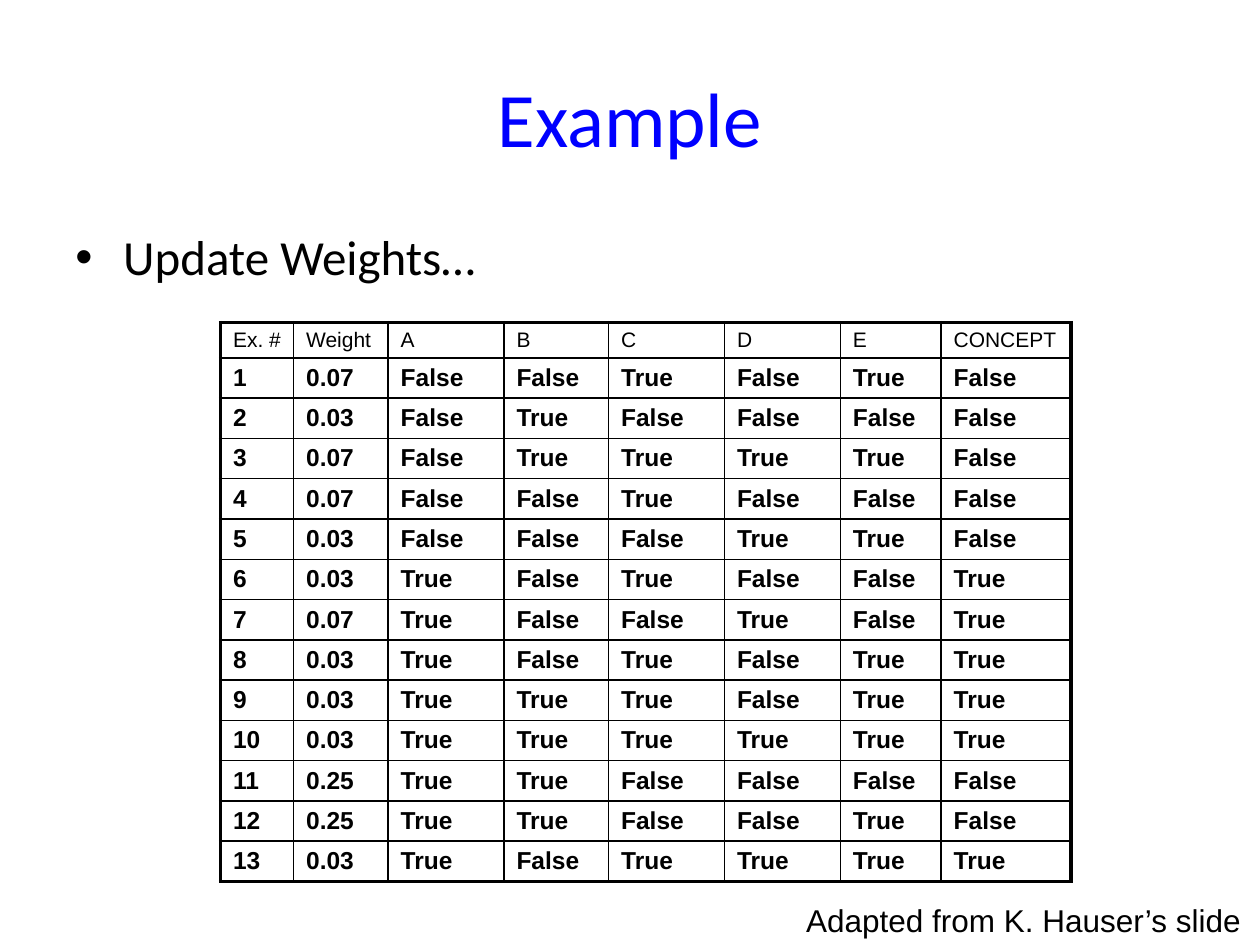
from lxml.etree import SubElement
from pptx import Presentation
from pptx.dml.color import RGBColor
from pptx.enum.text import MSO_ANCHOR, PP_ALIGN
from pptx.oxml.ns import qn
from pptx.util import Inches, Pt

TITLE = "Example"
BULLET = "Update Weights…"
CREDIT = "Adapted from K. Hauser’s slide"
HEADERS = ["Ex. #", "Weight", "A", "B", "C", "D", "E", "CONCEPT"]
EXAMPLES = [
    ("0.07", "FFTFTF"),
    ("0.03", "FTFFFF"),
    ("0.07", "FTTTTF"),
    ("0.07", "FFTFFF"),
    ("0.03", "FFFTTF"),
    ("0.03", "TFTFFT"),
    ("0.07", "TFFTFT"),
    ("0.03", "TFTFTT"),
    ("0.03", "TTTFTT"),
    ("0.03", "TTTTTT"),
    ("0.25", "TTFFFF"),
    ("0.25", "TTFFTF"),
    ("0.03", "TFTTTT"),
]
TRUTH = {"T": "True", "F": "False"}
COLUMN_WIDTHS = [0.58, 0.75, 0.92, 0.83, 0.92, 0.92, 0.8, 1.03]
ROW_HEIGHTS = [0.28] + [0.32] * len(EXAMPLES)
BOTTOM_MARGIN = 0.03
OUTER_BORDER, INNER_BORDER = 2.25, 1
BLACK, BLUE = "000000", "0000FF"


def color(value):
    return RGBColor.from_string(value)


def write(paragraph, text, size, font="Arial", fill=BLACK, bold=False):
    paragraph.text = text
    paragraph.font.name = font
    paragraph.font.size = Pt(size)
    paragraph.font.bold = bold
    paragraph.font.color.rgb = color(fill)


def space_before(paragraph, percent):
    spacing = SubElement(paragraph._p.get_or_add_pPr(), qn("a:spcBef"))
    paragraph._p.pPr.insert(0, spacing)
    SubElement(spacing, qn("a:spcPct"), val=str(percent * 1000))


def add_bullet(paragraph, indent):
    properties = paragraph._p.get_or_add_pPr()
    properties.set("marL", str(Inches(indent)))
    properties.set("indent", str(-Inches(indent)))
    bullet_font = SubElement(properties, qn("a:buFont"), typeface="Arial")
    bullet = SubElement(properties, qn("a:buChar"), char="•")
    properties.insert(0, bullet_font)
    properties.insert(1, bullet)


def add_text(slide, left, top, width, height, wrap=True):
    box = slide.shapes.add_textbox(Inches(left), Inches(top), Inches(width), Inches(height))
    box.text_frame.word_wrap = wrap
    return box.text_frame


def set_borders(cell, widths):
    properties = cell._tc.get_or_add_tcPr()
    for side, width in zip(("lnL", "lnR", "lnT", "lnB"), widths):
        line = SubElement(properties, qn(f"a:{side}"), w=str(Pt(width)))
        fill = SubElement(line, qn("a:solidFill"))
        SubElement(fill, qn("a:srgbClr"), val=BLACK)
    cell.fill.background()


def add_weights_table(slide, left, top):
    rows = [HEADERS] + [
        [str(number), weight] + [TRUTH[value] for value in values]
        for number, (weight, values) in enumerate(EXAMPLES, 1)
    ]
    last_row, last_column = len(rows) - 1, len(HEADERS) - 1
    table = slide.shapes.add_table(
        len(rows), len(HEADERS), Inches(left), Inches(top),
        Inches(sum(COLUMN_WIDTHS)), Inches(sum(ROW_HEIGHTS)),
    ).table
    table.first_row = False
    table.horz_banding = False
    for column, width in zip(table.columns, COLUMN_WIDTHS):
        column.width = Inches(width)
    for row_index, (row, height) in enumerate(zip(rows, ROW_HEIGHTS)):
        table.rows[row_index].height = Inches(height)
        for column_index, text in enumerate(row):
            cell = table.cell(row_index, column_index)
            cell.margin_bottom = Inches(BOTTOM_MARGIN)
            paragraph = cell.text_frame.paragraphs[0]
            is_header = row_index == 0
            write(paragraph, text, 12 if is_header else 14, bold=not is_header)
            space_before(paragraph, 20)
            on_edge = (column_index == 0, column_index == last_column,
                       row_index == 0, row_index == last_row)
            set_borders(cell, [OUTER_BORDER if edge else INNER_BORDER for edge in on_edge])


def main():
    presentation = Presentation()
    presentation.slide_width = Inches(10)
    presentation.slide_height = Inches(7.5)
    slide = presentation.slides.add_slide(presentation.slide_layouts[6])

    title_frame = add_text(slide, 0.5, 0.3, 9, 1.25)
    title_frame.vertical_anchor = MSO_ANCHOR.MIDDLE
    title = title_frame.paragraphs[0]
    write(title, TITLE, 44, "Calibri", BLUE)
    title.alignment = PP_ALIGN.CENTER

    body = add_text(slide, 0.5, 1.75, 9, 4.95).paragraphs[0]
    write(body, BULLET, 28, "Calibri")
    add_bullet(body, 0.38)
    space_before(body, 20)

    add_weights_table(slide, 1.75, 2.56)

    credit = add_text(slide, 6.3, 7.1, 3.7, 0.4, wrap=False).paragraphs[0]
    write(credit, CREDIT, 18)

    presentation.save("out.pptx")


if __name__ == "__main__":
    main()
